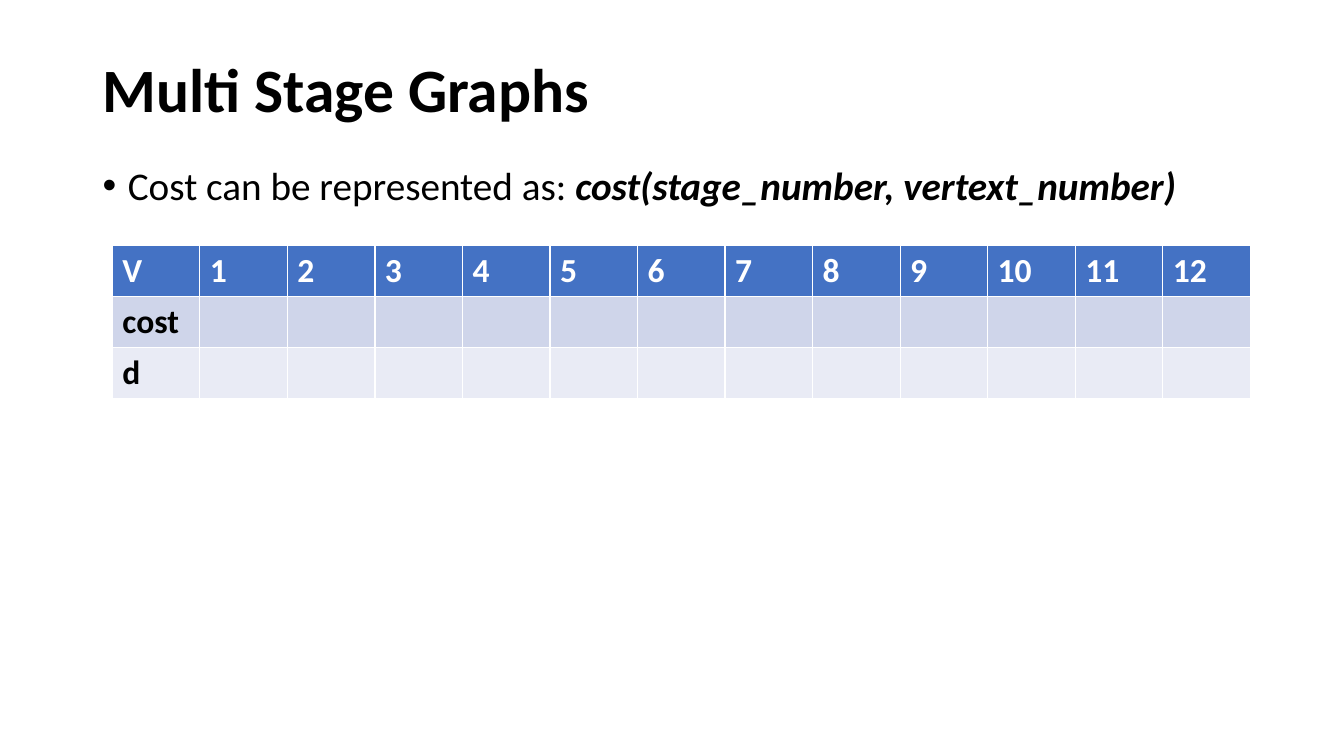
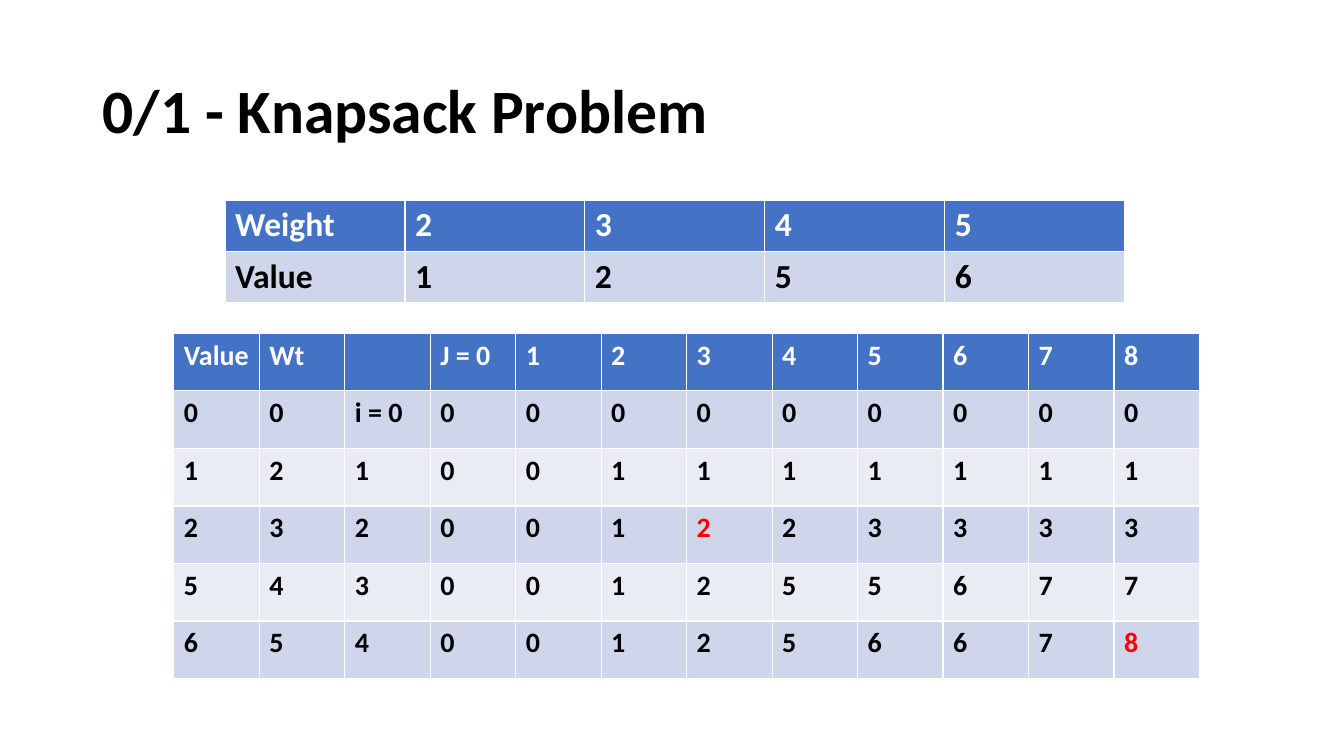
import pptx
import pptx.util
import pptx.dml.color
import pptx.enum.text

Cm, Pt = pptx.util.Cm, pptx.util.Pt
FONT = "Calibri"
HUES = {"head": "4472C4", "odd": "CFD5EA", "even": "E9EBF5",
        "light": "FFFFFF", "dark": "000000", "mark": "FF0000"}
HUES = {key: pptx.dml.color.RGBColor.from_string(hue) for key, hue in HUES.items()}

deck = pptx.Presentation()
deck.slide_width, deck.slide_height = Cm(33.87), Cm(19.05)


def start(layout, text, height):
    """Add a slide with a bold title on the left."""
    slide = deck.slides.add_slide(deck.slide_layouts[layout])
    title = slide.shapes.title
    title.left, title.top, title.width, title.height = Cm(2.33), Cm(1.01), Cm(29.21), Cm(height)
    frame = title.text_frame
    frame.text = text
    frame.vertical_anchor = pptx.enum.text.MSO_ANCHOR.MIDDLE
    para = frame.paragraphs[0]
    para.alignment = pptx.enum.text.PP_ALIGN.LEFT
    para.line_spacing = 0.9
    font = para.runs[0].font
    font.name, font.size, font.bold = FONT, Pt(44), True
    font.color.rgb = HUES["dark"]
    return slide


def grid(slide, rows, left, top, width, high, size, marks=()):
    """Add a banded table with equal columns; marks lists the red cells."""
    count = len(rows[0])
    table = slide.shapes.add_table(len(rows), count, Cm(left), Cm(top),
                                   Cm(width), Cm(high * len(rows))).table
    for col in table.columns:
        col.width = Cm(width / count)
    for r, row in enumerate(rows):
        table.rows[r].height = Cm(high)
        band = "head" if r == 0 else "odd" if r % 2 else "even"
        for c, text in enumerate(row):
            cell = table.cell(r, c)
            cell.fill.solid()
            cell.fill.fore_color.rgb = HUES[band]
            cell.text_frame.text = text
            font = cell.text_frame.paragraphs[0].font
            font.size = Pt(size)
            for run in cell.text_frame.paragraphs[0].runs:
                font = run.font
                font.name, font.size, font.bold = FONT, Pt(size), True
                hue = "mark" if (r, c) in marks else "dark" if r else "light"
                font.color.rgb = HUES[hue]


# Slide 1: cost notation and empty cost table
slide = start(1, "Multi Stage Graphs", 2.62)
body = slide.placeholders[1]
body.left, body.top, body.width, body.height = Cm(2.33), Cm(4.06), Cm(30.56), Cm(14.68)
para = body.text_frame.paragraphs[0]
props = para._p.get_or_add_pPr()
props.set("marL", str(Cm(0.64)))
props.set("indent", str(-Cm(0.64)))
para.line_spacing = 0.9
para.space_before = Pt(0)
for text, strong in (("Cost can be represented as: ", False),
                     ("cost(stage_number, vertext_number)", True)):
    run = para.add_run()
    run.text = text
    run.font.name, run.font.size = FONT, Pt(28)
    run.font.bold = run.font.italic = strong
    run.font.color.rgb = HUES["dark"]

blank = [""] * 12
costs = [["V"] + [str(n) for n in range(1, 13)], ["cost"] + blank, ["d"] + blank]
grid(slide, costs, 2.83, 6.18, 28.68, 1.29, 24)

# Slide 2: items and the filled knapsack table
slide = start(5, "0/1 - Knapsack Problem", 3.68)
items = [["Weight", "2", "3", "4", "5"],
         ["Value", "1", "2", "5", "6"]]
grid(slide, items, 5.67, 5.04, 22.68, 1.29, 24)

lines = ["Value|Wt||J = 0|1|2|3|4|5|6|7|8",
         "0|0|i = 0|0|0|0|0|0|0|0|0|0",
         "1|2|1|0|0|1|1|1|1|1|1|1",
         "2|3|2|0|0|1|2|2|3|3|3|3",
         "5|4|3|0|0|1|2|5|5|6|7|7",
         "6|5|4|0|0|1|2|5|6|6|7|8"]
grid(slide, [line.split("|") for line in lines], 4.38, 8.4, 25.86, 1.45, 20,
     marks={(3, 6), (5, 11)})

deck.save("out.pptx")
